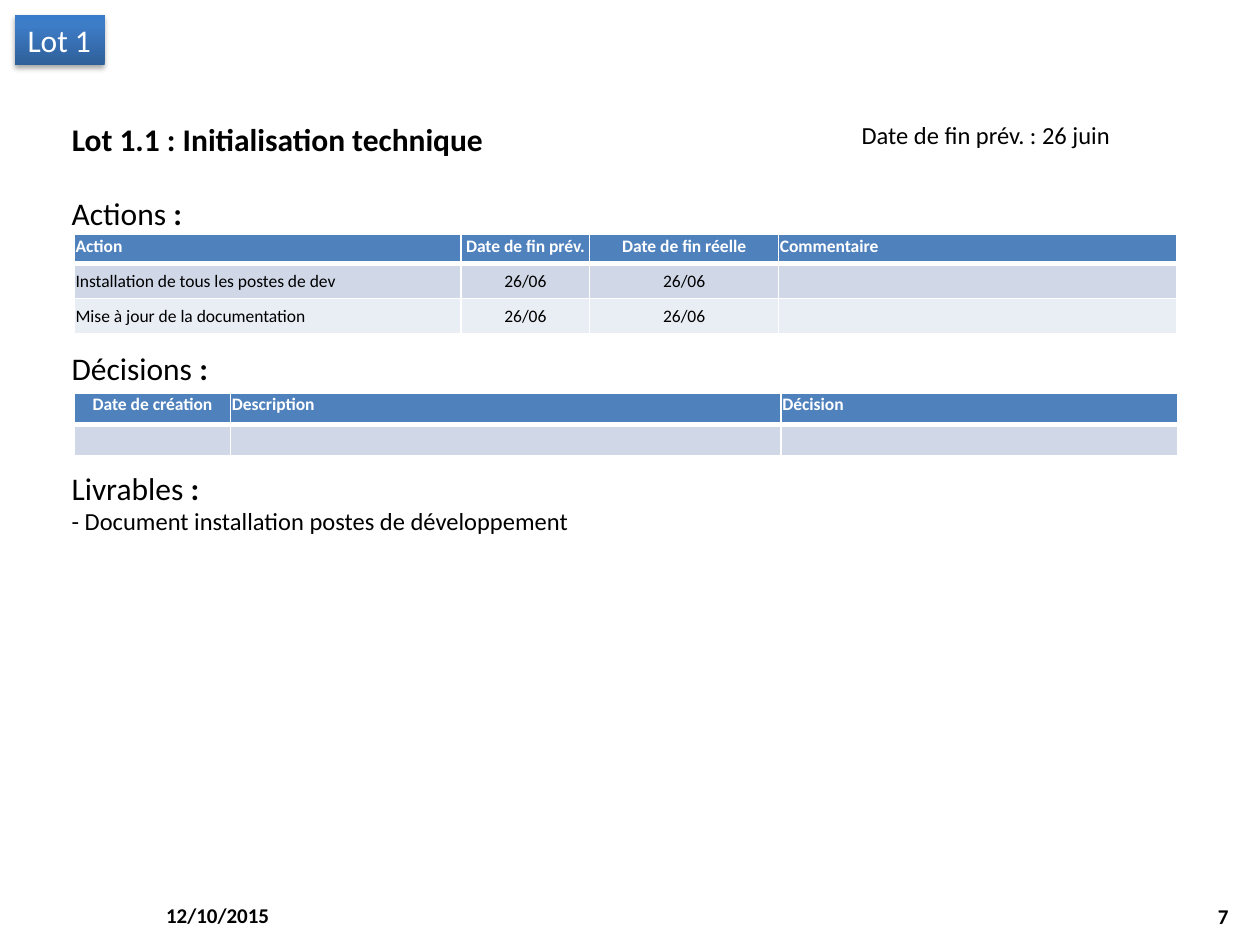
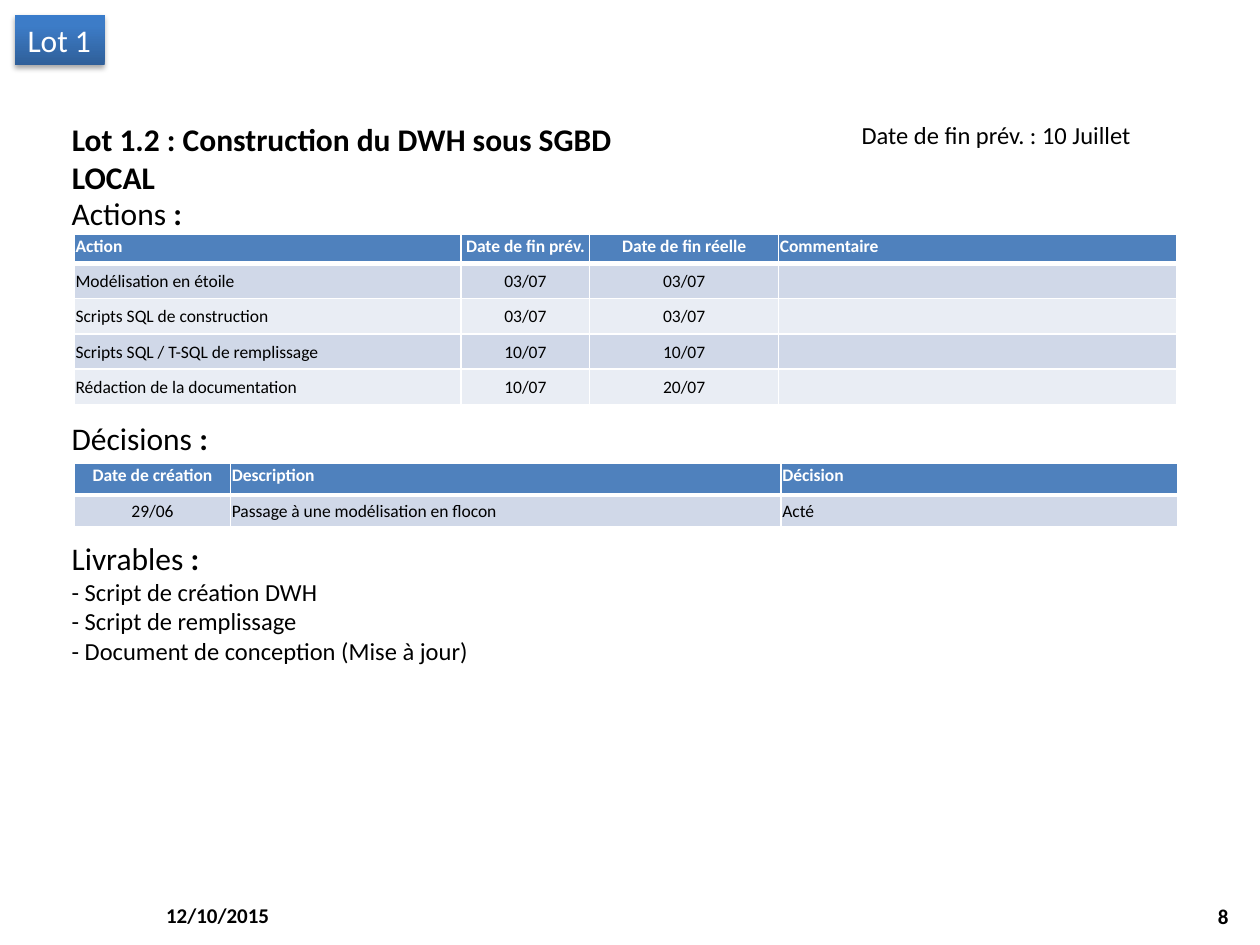
from copy import deepcopy
from dataclasses import dataclass

from lxml import etree
from pptx import Presentation
from pptx.dml.color import RGBColor
from pptx.enum import shapes, text
from pptx.oxml import ns, parse_xml
from pptx.util import Inches, Pt

LEFT, CENTER, RIGHT = text.PP_ALIGN.LEFT, text.PP_ALIGN.CENTER, text.PP_ALIGN.RIGHT
TOP, MIDDLE = text.MSO_ANCHOR.TOP, text.MSO_ANCHOR.MIDDLE

LOT = "Lot 1"
REPORT_DATE = "12/10/2015"
FIRST_PAGE = 7

PAGES = [
    {
        "title": "Lot 1.1 : Initialisation technique",
        "title_width": 3.5,
        "due": "26 juin",
        "actions": [
            ("Installation de tous les postes de dev", "26/06", "26/06", ""),
            ("Mise à jour de la documentation", "26/06", "26/06", ""),
        ],
        "decisions": [("", "", "")],
        "deliverables": ["Document installation postes de développement"],
        "deliverables_width": 4.19,
    },
    {
        "title": "Lot 1.2 : Construction du DWH sous SGBD LOCAL",
        "title_width": 5.2,
        "due": "10 Juillet",
        "actions": [
            ("Modélisation en étoile", "03/07", "03/07", ""),
            ("Scripts SQL de construction", "03/07", "03/07", ""),
            ("Scripts SQL / T-SQL de remplissage", "10/07", "10/07", ""),
            ("Rédaction de la documentation", "10/07", "20/07", ""),
        ],
        "decisions": [("29/06", "Passage à une modélisation en flocon", "Acté")],
        "deliverables": [
            "Script de création DWH",
            "Script de remplissage",
            "Document de conception (Mise à jour)",
        ],
        "deliverables_width": 3.42,
    },
]

# Each column: heading, width in inches, alignment
ACTION_COLUMNS = [
    ("Action", 3.07, LEFT),
    ("Date de fin prév.", 1.02, CENTER),
    ("Date de fin réelle", 1.5, CENTER),
    ("Commentaire", 3.16, LEFT),
]
DECISION_COLUMNS = [
    ("Date de création", 1.24, CENTER),
    ("Description", 4.37, LEFT),
    ("Décision", 3.15, LEFT),
]


@dataclass(frozen=True)
class Theme:
    font: str = "Calibri"
    black: str = "000000"
    white: str = "FFFFFF"
    header: str = "4F81BD"
    bands: tuple = ("D0D8E8", "E9EDF4")
    badge: tuple = ((0, "2F5F99"), (0.8, "3D7CC7"), (1, "3A7CCB"))
    heading: int = 18
    body: int = 14
    footer: int = 12
    cell: int = 10
    rule: int = 1
    header_rule: int = 3


THEME = Theme()
TEXT_LEFT, TABLE_LEFT = 0.47, 0.59
TITLE_TOP, ACTIONS_TOP, ACTION_TABLE_TOP = 0.9, 1.49, 1.86
LABEL_HEIGHT = 0.4
LABEL_GAP, DELIVERABLES_GAP = 0.07, 0.05


def add_span(para, words, size, color=THEME.black, bold=False):
    span = para.add_run()
    span.text = words
    span.font.name = THEME.font
    span.font.size = Pt(size)
    span.font.bold = bold
    span.font.color.rgb = RGBColor.from_string(color)


def add_box(page, left, top, width, height, wrap=False):
    box = page.shapes.add_textbox(*map(Inches, (left, top, width, height)))
    box.text_frame.word_wrap = wrap
    box.text_frame.auto_size = text.MSO_AUTO_SIZE.SHAPE_TO_FIT_TEXT
    return box.text_frame


def add_section(page, label, top, width, height=LABEL_HEIGHT):
    frame = add_box(page, TEXT_LEFT, top, width, height)
    add_span(frame.paragraphs[0], label, THEME.heading)
    add_span(frame.paragraphs[0], " :", THEME.heading, bold=True)
    return frame


def add_footer(page, words, left, top, align):
    frame = add_box(page, left, top, 2.33, 0.4, wrap=True)
    frame.auto_size = text.MSO_AUTO_SIZE.NONE
    frame.vertical_anchor = MIDDLE
    frame.paragraphs[0].alignment = align
    add_span(frame.paragraphs[0], words, THEME.footer, bold=True)


def add_badge(page):
    badge = page.shapes.add_shape(
        shapes.MSO_SHAPE.RECTANGLE, *map(Inches, (0.12, 0.12, 0.71, 0.4)))
    badge.line.fill.background()
    badge.fill.gradient()
    badge.fill.gradient_angle = 90
    stops = badge.element.spPr.find(".//" + ns.qn("a:gsLst"))
    stops.append(deepcopy(stops[-1]))
    for stop, (position, color) in zip(badge.fill.gradient_stops, THEME.badge):
        stop.position = position
        stop.color.rgb = RGBColor.from_string(color)
    badge.element.spPr.append(parse_xml(
        f'<a:effectLst {ns.nsdecls("a")}>'
        f'<a:outerShdw blurRad="{Pt(3.1)}" dist="{Pt(1.8)}" dir="5400000" rotWithShape="0">'
        f'<a:srgbClr val="{THEME.black}"><a:alpha val="35000"/></a:srgbClr>'
        '</a:outerShdw></a:effectLst>'))
    frame = badge.text_frame
    frame.word_wrap = False
    frame.vertical_anchor = TOP
    frame.paragraphs[0].alignment = LEFT
    add_span(frame.paragraphs[0], LOT, THEME.heading, THEME.white)


def set_borders(cell, top, bottom):
    properties = cell._tc.get_or_add_tcPr()
    sides = (("L", THEME.rule), ("R", THEME.rule), ("T", top), ("B", bottom))
    for index, (side, width) in enumerate(sides):
        properties.insert(index, parse_xml(
            f'<a:ln{side} {ns.nsdecls("a")} w="{Pt(width)}"><a:solidFill>'
            f'<a:srgbClr val="{THEME.white}"/></a:solidFill></a:ln{side}>'))


def fill_cell(cell, words, align, row):
    header = row == 0
    cell.fill.solid()
    cell.fill.fore_color.rgb = RGBColor.from_string(
        THEME.header if header else THEME.bands[(row - 1) % 2])
    cell.margin_left = cell.margin_right = cell.margin_top = Inches(0.01)
    cell.margin_bottom = 0
    cell.vertical_anchor = TOP if header else MIDDLE
    set_borders(cell, THEME.header_rule if row == 1 else THEME.rule,
                THEME.header_rule if header else THEME.rule)
    para = cell.text_frame.paragraphs[0]
    para.alignment = align
    if words:
        add_span(para, words, THEME.cell, THEME.white if header else THEME.black, header)
    else:
        etree.SubElement(para._p, ns.qn("a:endParaRPr"), sz=str(THEME.cell * 100))


def add_grid(page, columns, rows, top, header_height, row_height):
    """Add a banded table and return its bottom edge in inches."""
    headings, widths, aligns = zip(*columns)
    height = header_height + row_height * len(rows)
    table = page.shapes.add_table(
        len(rows) + 1, len(columns),
        *map(Inches, (TABLE_LEFT, top, sum(widths), height))).table
    table.horz_banding = False
    for column, width in zip(table.columns, widths):
        column.width = Inches(width)
    for row, values in enumerate([headings, *rows]):
        table.rows[row].height = Inches(row_height if row else header_height)
        for column, (words, align) in enumerate(zip(values, aligns)):
            fill_cell(table.cell(row, column), words, align, row)
    return top + height


def add_title(page, words, width):
    title = page.shapes.title
    title.left, title.top, title.width, title.height = map(
        Inches, (TEXT_LEFT, TITLE_TOP, width, LABEL_HEIGHT))
    frame = title.text_frame
    frame.word_wrap = False
    frame.auto_size = text.MSO_AUTO_SIZE.SHAPE_TO_FIT_TEXT
    frame.vertical_anchor = TOP
    frame.paragraphs[0].alignment = LEFT
    add_span(frame.paragraphs[0], words, THEME.heading, bold=True)


def add_lot_page(deck, content, number):
    page = deck.slides.add_slide(deck.slide_layouts[5])
    add_footer(page, REPORT_DATE, 1.22, 7.06, LEFT)
    add_footer(page, str(number), 7.52, 7.07, RIGHT)
    add_badge(page)
    add_title(page, content["title"], content["title_width"])
    due = add_box(page, 6.74, TITLE_TOP, 3.16, 0.34, wrap=True)
    add_span(due.paragraphs[0], f"Date de fin prév. : {content['due']}", THEME.body)

    add_section(page, "Actions", ACTIONS_TOP, 1.11)
    bottom = add_grid(page, ACTION_COLUMNS, content["actions"], ACTION_TABLE_TOP, 0.23, 0.28)

    decisions_top = bottom + LABEL_GAP
    add_section(page, "Décisions", decisions_top, 1.3)
    bottom = add_grid(page, DECISION_COLUMNS, content["decisions"],
                      decisions_top + LABEL_HEIGHT, 0.25, 0.25)

    frame = add_section(page, "Livrables", bottom + DELIVERABLES_GAP,
                        content["deliverables_width"], 1.11)
    for deliverable in content["deliverables"]:
        add_span(frame.add_paragraph(), f"- {deliverable}", THEME.body)


def main():
    deck = Presentation()
    deck.slide_width, deck.slide_height = Inches(10), Inches(7.5)
    for number, content in enumerate(PAGES, FIRST_PAGE):
        add_lot_page(deck, content, number)
    deck.save("out.pptx")


if __name__ == "__main__":
    main()
